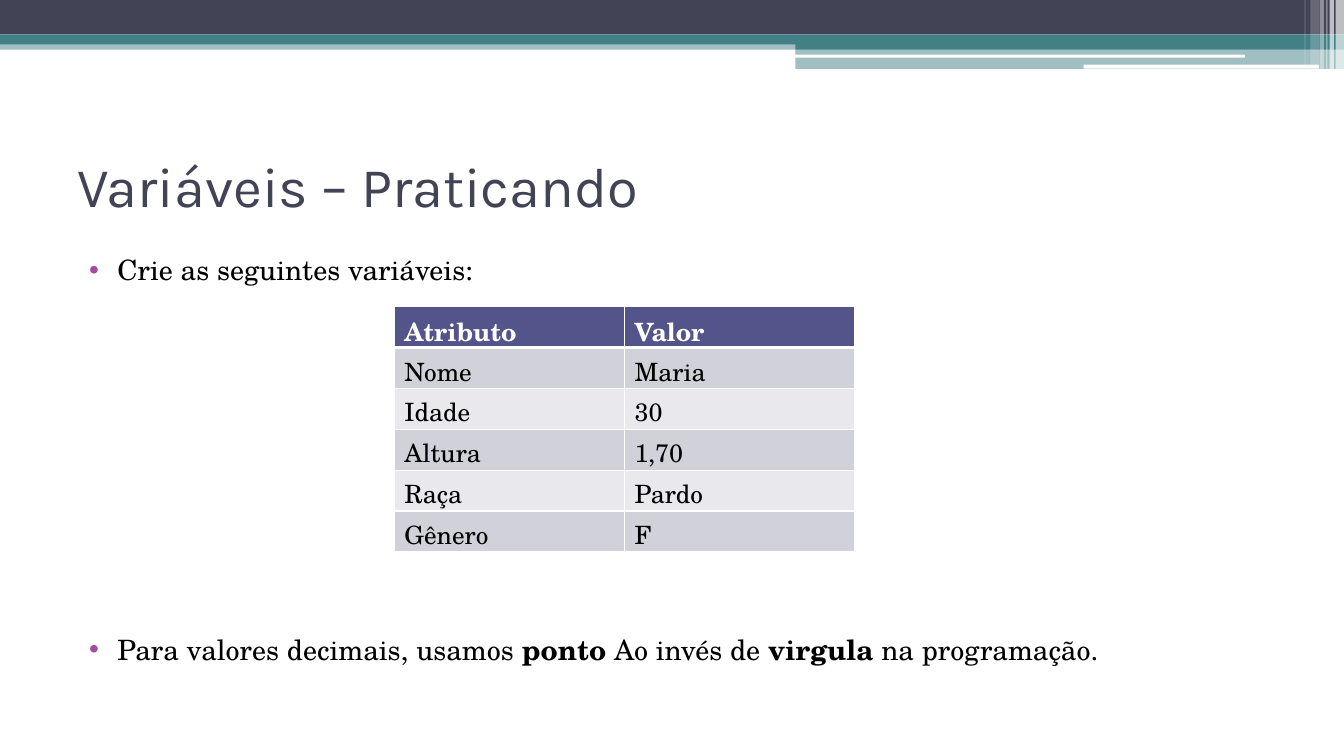
from dataclasses import dataclass

from lxml import etree
from pptx import Presentation
from pptx import util as u
from pptx.dml.color import RGBColor
from pptx.enum import shapes, text
from pptx.oxml import ns

NAVY = RGBColor(0x42, 0x44, 0x56)
TEAL = RGBColor(0x43, 0x80, 0x86)
WHITE = RGBColor(0xFF, 0xFF, 0xFF)
BLACK = RGBColor(0x00, 0x00, 0x00)
PLUM = RGBColor(0xA0, 0x4D, 0xA3)
HEAD = RGBColor(0x53, 0x54, 0x8A)
DARK = RGBColor(0xD1, 0xD1, 0xDA)
PALE = RGBColor(0xE9, 0xE9, 0xED)
SERIF = "TeX Gyre Schola"
SANS = "Karla"

# The slide is a grid of 160 columns by 90 rows
COLS, ROWS = 160, 90
WIDE, HIGH = u.Inches(13.33), u.Inches(7.5)


@dataclass
class Band:
    x: float
    y: float
    w: float
    h: float
    color: RGBColor
    alpha: int = 100
    form: int = shapes.MSO_SHAPE.RECTANGLE


def place(x: float, y: float, w: float, h: float) -> list:
    """Turn grid columns and rows into lengths."""
    return [u.Emu(round(x * WIDE / COLS)), u.Emu(round(y * HIGH / ROWS)),
            u.Emu(round(w * WIDE / COLS)), u.Emu(round(h * HIGH / ROWS))]


def sub(parent, tag: str, **attrs):
    return etree.SubElement(parent, ns.qn(tag), attrs)


def draw(slide, band: Band) -> None:
    shape = slide.shapes.add_shape(
        band.form, *place(band.x, band.y, band.w, band.h))
    shape.shadow.inherit = False
    shape.fill.solid()
    shape.fill.fore_color.rgb = band.color
    shape.line.fill.background()
    if band.alpha < 100:
        tint = shape.element.spPr.find(ns.qn("a:solidFill"))[0]
        sub(tint, "a:alpha", val=str(band.alpha * 1000))


def write(par, words: str, *, size: float, color: RGBColor = BLACK,
          font: str = SERIF, bold: bool = False) -> None:
    run = par.add_run()
    run.text = words
    run.font.size = u.Pt(size)
    run.font.name = font
    run.font.bold = bold
    run.font.color.rgb = color


def frame(slide, area: list, anchor):
    box = slide.shapes.add_textbox(*area).text_frame
    box.word_wrap = True
    box.vertical_anchor = anchor
    return box


def bullet(par, gap: float) -> None:
    par.alignment = text.PP_ALIGN.JUSTIFY
    par.space_before = u.Pt(gap)
    props = par._p.get_or_add_pPr()
    props.set("marL", str(u.Inches(0.4)))
    props.set("indent", str(u.Inches(-0.28)))
    sub(sub(props, "a:buClr"), "a:srgbClr", val=str(PLUM))
    sub(props, "a:buFont", typeface="Arial")
    sub(props, "a:buChar", char="•")


def border(cell, base: float) -> None:
    props = cell._tc.get_or_add_tcPr()
    for side in "LRTB":
        width = base if side == "B" else 1
        line = sub(props, f"a:ln{side}", w=str(u.Pt(width)))
        sub(sub(line, "a:solidFill"), "a:srgbClr", val=str(WHITE))


def tabulate(slide, area: list, data: list) -> None:
    grid = slide.shapes.add_table(len(data), len(data[0]), *area).table
    for r, row in enumerate(data):
        top = r == 0
        for c, words in enumerate(row):
            cell = grid.cell(r, c)
            border(cell, 3 if r < 1 else 1)
            cell.fill.solid()
            cell.fill.fore_color.rgb = HEAD if top else (PALE, DARK)[r % 2]
            write(cell.text_frame.paragraphs[0], words, size=18,
                  color=WHITE if top else BLACK, bold=top)


ROUND = shapes.MSO_SHAPE.ROUNDED_RECTANGLE
BANDS = [
    # Bars across the top
    Band(0, 4.8, 160, 1.1, TEAL, 50),
    Band(0, 0, 160, 4.1, NAVY),
    Band(0, 4.1, 160, 1.2, TEAL),
    # Step on the right with white slits
    Band(94.7, 4.7, 65.3, 1.2, TEAL),
    Band(94.7, 5.8, 65.3, 2.4, TEAL, 50),
    Band(94.6, 6.5, 53.6, 0.36, WHITE, form=ROUND),
    Band(129, 7.7, 28, 0.48, WHITE, form=ROUND),
    # Upright stripes at the edge
    Band(159, 0, 1, 8.2, WHITE, 65),
    Band(158.3, 0, 0.5, 8.2, WHITE, 65),
    Band(157.9, 0, 0.12, 8.2, WHITE, 60),
    Band(157.1, 0, 0.5, 8.2, WHITE, 40),
    Band(156, 0, 1, 7.7, WHITE, 20),
    Band(155.3, 0, 0.12, 7.7, WHITE, 30),
]

DATA = [("Atributo", "Valor"), ("Nome", "Maria"), ("Idade", "30"),
        ("Altura", "1,70"), ("Raça", "Pardo"), ("Gênero", "F")]

# Space before each point, then its runs as words and weight
POINTS = [
    (3, [("Crie as seguintes variáveis:", False)]),
    (247, [("Para valores decimais, usamos ", False), ("ponto", True),
           (" Ao invés de ", False), ("virgula", True),
           (" na programação.", False)]),
]


def main() -> None:
    deck = Presentation()
    deck.slide_width, deck.slide_height = WIDE, HIGH
    slide = deck.slides.add_slide(deck.slide_layouts[6])

    for band in BANDS:
        draw(slide, band)

    # Title
    title = frame(slide, place(8, 15, 144, 14), text.MSO_ANCHOR.MIDDLE)
    write(title.paragraphs[0], "Variáveis – Praticando", size=40,
          color=NAVY, font=SANS)

    # Points above and below the table
    body = frame(slide, place(8, 29.5, 144, 56.8), text.MSO_ANCHOR.TOP)
    for i, (gap, runs) in enumerate(POINTS):
        par = body.add_paragraph() if i else body.paragraphs[0]
        bullet(par, gap)
        for words, bold in runs:
            write(par, words, size=20, bold=bold)

    tabulate(slide, place(46.95, 36.5, 54.8, 29.2), DATA)
    deck.save("out.pptx")


if __name__ == "__main__":
    main()
